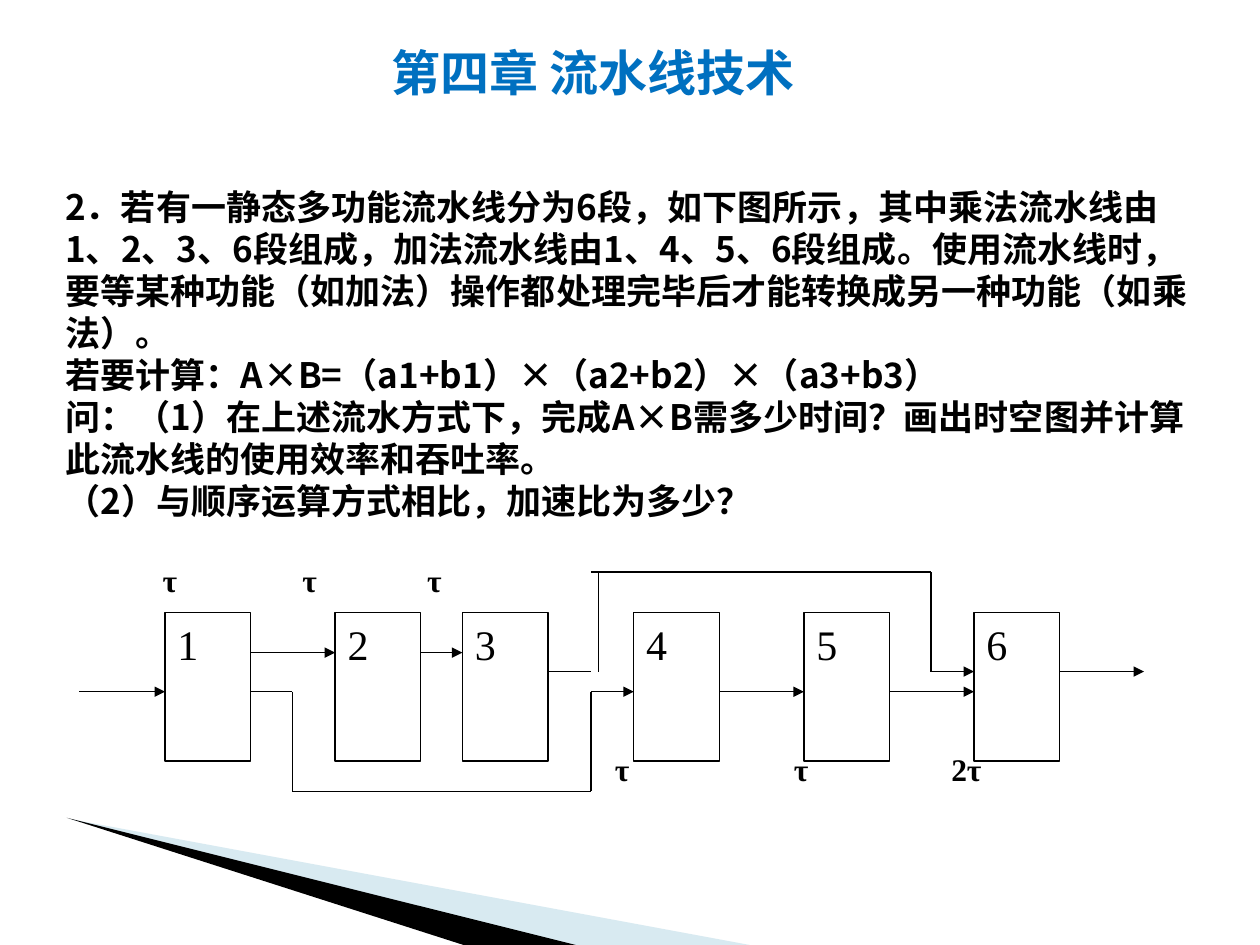
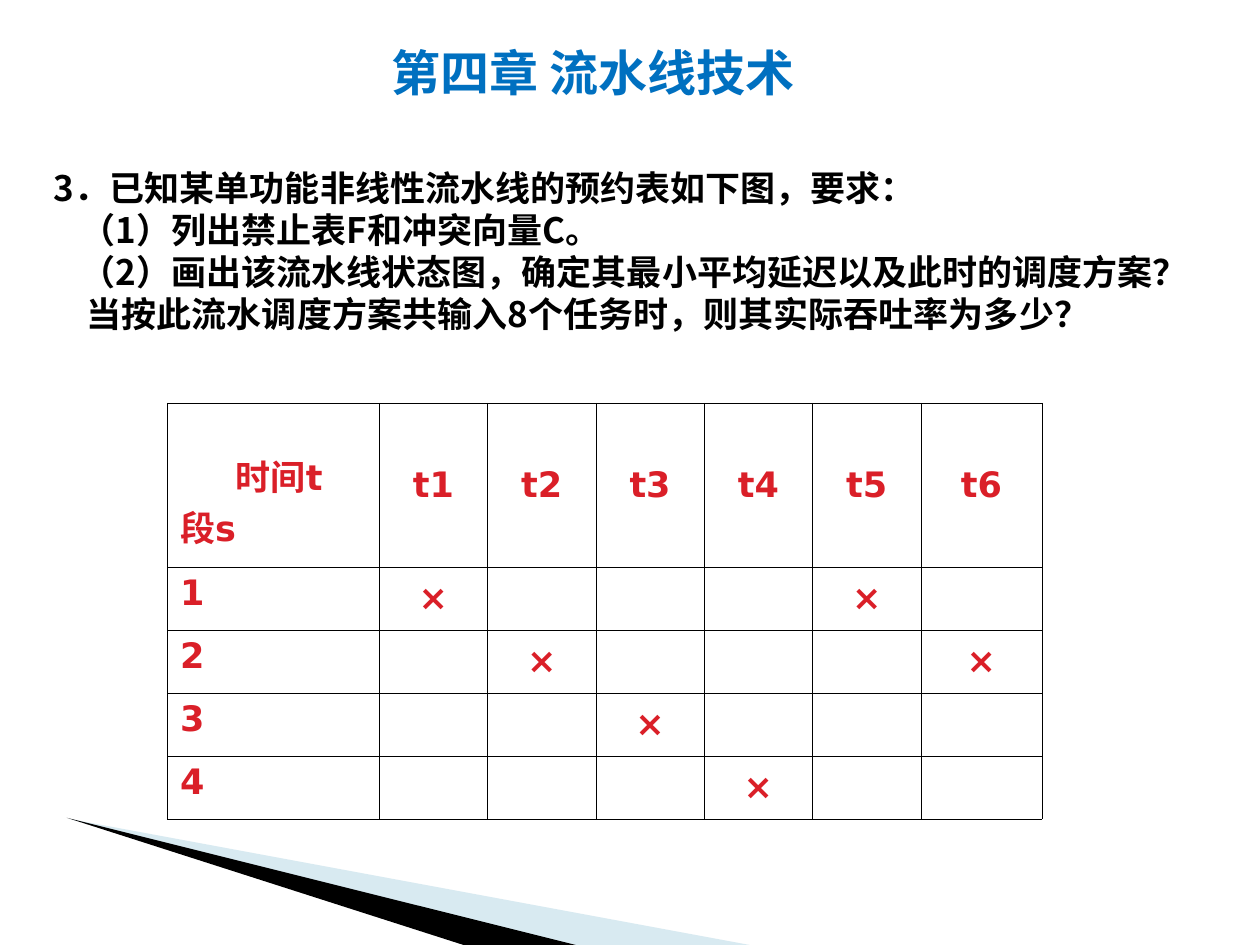
from itertools import pairwise

from lxml import etree
from pptx import Presentation
from pptx.dml.color import RGBColor
from pptx.enum.shapes import MSO_CONNECTOR, MSO_SHAPE
from pptx.enum.text import MSO_ANCHOR, PP_ALIGN
from pptx.oxml.ns import qn
from pptx.util import Inches, Pt

RECTANGLE = MSO_SHAPE.RECTANGLE
STRAIGHT = MSO_CONNECTOR.STRAIGHT
TOP, MIDDLE = MSO_ANCHOR.TOP, MSO_ANCHOR.MIDDLE
LEFT, CENTER = PP_ALIGN.LEFT, PP_ALIGN.CENTER

BLACK = RGBColor(0x00, 0x00, 0x00)
TITLE_BLUE = RGBColor(0x00, 0x70, 0xC0)
PALE_BLUE = RGBColor(0x9F, 0xCB, 0xDC)
TABLE_RED = RGBColor(0xDA, 0x1F, 0x28)
CHINESE_FONT = "Noto Sans CJK SC"
TABLE_FONT = "DejaVu Sans"
DIAGRAM_FONT = "Times New Roman"
LINE_FACTOR = 1.2

TITLE = "第四章 流水线技术"
WEDGES = [
    (PALE_BLUE, 40, [(0.55, 6.5), (5.95, 7.5), (4.56, 7.5)]),
    (BLACK, 100, [(0.53, 6.49), (4.57, 7.5), (3.68, 7.5)]),
]

PIPELINE_QUESTION = [
    ("2．若有一静态多功能流水线分为6段，如下图所示，其中乘法流水线由1、2、3、6段组成，"
     "加法流水线由1、4、5、6段组成。使用流水线时，要等某种功能（如加法）操作都处理完毕后"
     "才能转换成另一种功能（如乘法）。", 0),
    ("若要计算：A×B=（a1+b1）×（a2+b2）×（a3+b3）", 0),
    ("问：（1）在上述流水方式下，完成A×B需多少时间？画出时空图并计算此流水线的使用效率和吞吐率。", 0),
    ("（2）与顺序运算方式相比，加速比为多少？", 0),
]
STAGE_LEFTS = [1.31, 2.66, 3.67, 5.03, 6.38, 7.73]
STAGE_TOP, STAGE_WIDTH, STAGE_HEIGHT = 4.86, 0.68, 1.18
STAGE_RIGHTS = [left + STAGE_WIDTH for left in STAGE_LEFTS]
UPPER, MIDWAY, LOWER = 5.18, 5.33, 5.49
BYPASS_TOP, BYPASS_BOTTOM = 4.54, 6.28
ARROWS = [
    [(0.63, LOWER), (STAGE_LEFTS[0], LOWER)],
    [(STAGE_RIGHTS[0], UPPER), (STAGE_LEFTS[1], UPPER)],
    [(STAGE_RIGHTS[1], UPPER), (STAGE_LEFTS[2], UPPER)],
    [(STAGE_RIGHTS[3], LOWER), (STAGE_LEFTS[4], LOWER)],
    [(STAGE_RIGHTS[4], LOWER), (STAGE_LEFTS[5], LOWER)],
    [(STAGE_RIGHTS[5], MIDWAY), (9.08, MIDWAY)],
    [(STAGE_RIGHTS[0], LOWER), (2.32, LOWER), (2.32, BYPASS_BOTTOM),
     (4.69, BYPASS_BOTTOM), (4.69, LOWER), (STAGE_LEFTS[3], LOWER)],
    [(4.69, BYPASS_TOP), (7.39, BYPASS_TOP), (7.39, MIDWAY), (STAGE_LEFTS[5], MIDWAY)],
]
PLAIN_LINES = [
    [(STAGE_RIGHTS[2], MIDWAY), (4.69, MIDWAY)],
    [(4.75, MIDWAY), (4.75, BYPASS_TOP)],
]
DELAY_ROWS = [
    (4.45, [(1.29, "τ"), (2.4, "τ"), (3.39, "τ")]),
    (5.95, [(4.88, "τ"), (6.3, "τ"), (7.55, "2τ")]),
]

RESERVATION_QUESTION = [
    ("3．已知某单功能非线性流水线的预约表如下图，要求：", 0),
    ("（1）列出禁止表F和冲突向量C。", 0.21),
    ("（2）画出该流水线状态图，确定其最小平均延迟以及此时的调度方案？", 0.21),
    ("当按此流水调度方案共输入8个任务时，则其实际吞吐率为多少？", 0.26),
]
TIMES = ["t1", "t2", "t3", "t4", "t5", "t6"]
RESERVATIONS = {"1": ["t1", "t5"], "2": ["t2", "t6"], "3": ["t3"], "4": ["t4"]}
CORNER = "时间t\n段s"
COLUMN_WIDTHS = [1.68] + [0.86] * 5 + [0.96]
ROW_HEIGHTS = [1.3] + [0.5] * 4


def style_paragraph(paragraph, size, color, font_name, bold=True, align=LEFT):
    paragraph.alignment = align
    for run in paragraph.runs:
        run.font.size = Pt(size)
        run.font.bold = bold
        run.font.name = font_name
        run.font.color.rgb = color
        east_asian = etree.SubElement(run.font._element, qn("a:ea"))
        east_asian.set("typeface", CHINESE_FONT)


def indent_first_line(paragraph, indent):
    if indent:
        paragraph._p.get_or_add_pPr().set("indent", str(Inches(indent)))


def add_text(slide, box, lines, size, color, font_name, align=LEFT, exact=False, inset=True):
    text_frame = slide.shapes.add_textbox(*map(Inches, box)).text_frame
    text_frame.word_wrap = True
    if not inset:
        text_frame.margin_left = text_frame.margin_right = 0
        text_frame.margin_top = text_frame.margin_bottom = 0
    text_frame.text = "\n".join(text for text, _ in lines)
    for paragraph, (_, indent) in zip(text_frame.paragraphs, lines):
        style_paragraph(paragraph, size, color, font_name, align=align)
        indent_first_line(paragraph, indent)
        if exact:
            paragraph.line_spacing = Pt(size * LINE_FACTOR)


def add_wedge(slide, color, opacity, points):
    corners = [(Inches(x), Inches(y)) for x, y in points]
    builder = slide.shapes.build_freeform(*corners[0])
    builder.add_line_segments(corners[1:], close=True)
    wedge = builder.convert_to_shape()
    wedge.shadow.inherit = False
    wedge.line.fill.background()
    wedge.fill.solid()
    wedge.fill.fore_color.rgb = color
    if opacity < 100:
        color_element = wedge._element.spPr.find(".//" + qn("a:srgbClr"))
        etree.SubElement(color_element, qn("a:alpha")).set("val", str(opacity * 1000))


def add_chapter_slide(presentation, question, box):
    slide = presentation.slides.add_slide(presentation.slide_layouts[6])
    for wedge in WEDGES:
        add_wedge(slide, *wedge)
    add_text(slide, box, question, 20, BLACK, CHINESE_FONT, exact=True)
    add_text(slide, (2.83, 0.29, 3.75, 0.57), [(TITLE, 0)], 28, TITLE_BLUE,
             CHINESE_FONT, CENTER, exact=True)
    return slide


def add_route(slide, points, arrow):
    for start, end in pairwise(points):
        connector = slide.shapes.add_connector(STRAIGHT, *map(Inches, start + end))
        connector.line.color.rgb = BLACK
        connector.line.width = Pt(0.75)
        properties = connector._element.spPr
        if arrow and end == points[-1]:
            etree.SubElement(properties.find(qn("a:ln")), qn("a:tailEnd")).set("type", "triangle")
        etree.SubElement(properties, qn("a:effectLst"))


def add_stage(slide, number, left):
    stage = slide.shapes.add_shape(
        RECTANGLE, *map(Inches, (left, STAGE_TOP, STAGE_WIDTH, STAGE_HEIGHT)))
    stage.shadow.inherit = False
    stage.fill.background()
    stage.line.color.rgb = BLACK
    stage.line.width = Pt(0.75)
    stage.text_frame.text = str(number)
    stage.text_frame.vertical_anchor = TOP
    style_paragraph(stage.text_frame.paragraphs[0], 24, BLACK, DIAGRAM_FONT, bold=False)


def add_pipeline(slide):
    for number, left in enumerate(STAGE_LEFTS, 1):
        add_stage(slide, number, left)
    for points in ARROWS:
        add_route(slide, points, True)
    for points in PLAIN_LINES:
        add_route(slide, points, False)
    for top, labels in DELAY_ROWS:
        for left, delay in labels:
            add_text(slide, (left, top, 0.4, 0.29), [(delay, 0)], 18, BLACK,
                     DIAGRAM_FONT, inset=False)


def add_borders(cell):
    properties = cell._tc.get_or_add_tcPr()
    for position, side in enumerate(("lnL", "lnR", "lnT", "lnB")):
        border = etree.Element(qn("a:" + side), w=str(Pt(0.45)))
        fill = etree.SubElement(border, qn("a:solidFill"))
        etree.SubElement(fill, qn("a:srgbClr")).set("val", str(BLACK))
        properties.insert(position, border)


def add_reservation_table(slide):
    rows = [[CORNER] + TIMES]
    for stage, used in RESERVATIONS.items():
        rows.append([stage] + ["×" if time in used else "" for time in TIMES])
    table = slide.shapes.add_table(
        len(rows), len(COLUMN_WIDTHS), Inches(1.33), Inches(3.2),
        Inches(sum(COLUMN_WIDTHS)), Inches(sum(ROW_HEIGHTS))).table
    table.first_row = table.horz_banding = False
    for column, width in zip(table.columns, COLUMN_WIDTHS):
        column.width = Inches(width)
    for row, height, values in zip(table.rows, ROW_HEIGHTS, rows):
        row.height = Inches(height)
        for index, (cell, value) in enumerate(zip(row.cells, values)):
            cell.text = value
            cell.fill.background()
            cell.vertical_anchor = MIDDLE if index else TOP
            for paragraph in cell.text_frame.paragraphs:
                style_paragraph(paragraph, 20, TABLE_RED, TABLE_FONT,
                                align=CENTER if index else LEFT)
            add_borders(cell)
    corner = table.cell(0, 0)
    corner.margin_top = Inches(0.37)
    indent_first_line(corner.text_frame.paragraphs[0], 0.44)


def main():
    presentation = Presentation()
    presentation.slide_width = Inches(10)
    presentation.slide_height = Inches(7.5)
    add_pipeline(add_chapter_slide(presentation, PIPELINE_QUESTION, (0.42, 1.42, 9.17, 2.77)))
    add_reservation_table(
        add_chapter_slide(presentation, RESERVATION_QUESTION, (0.33, 1.27, 9.29, 1.77)))
    presentation.save("out.pptx")


if __name__ == "__main__":
    main()
